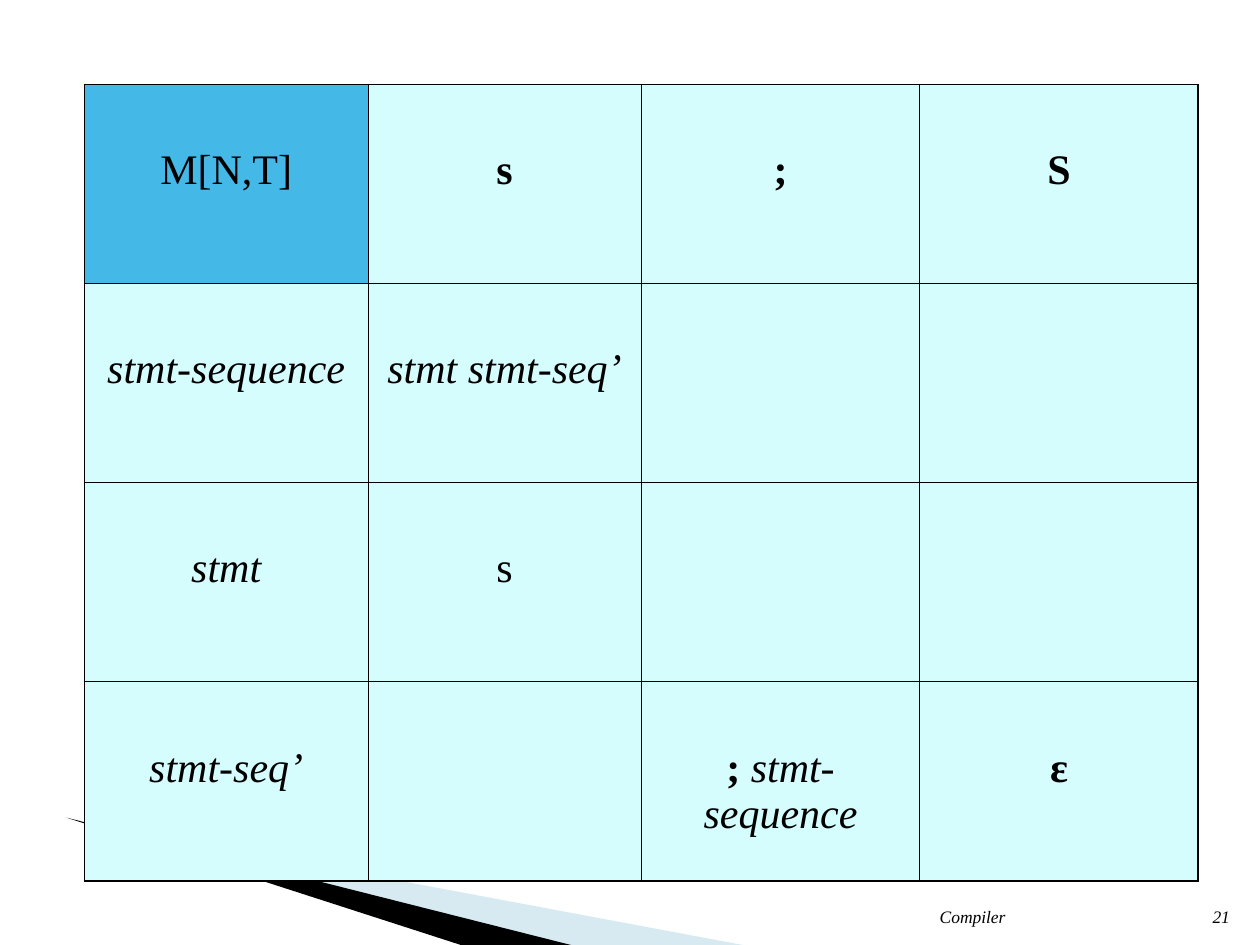
import dataclasses

import lxml.etree
import pptx
import pptx.dml.color
import pptx.enum.shapes
import pptx.enum.text
import pptx.oxml.ns
import pptx.util

Inches = pptx.util.Inches
Pt = pptx.util.Pt
ALIGN = pptx.enum.text.PP_ALIGN


@dataclasses.dataclass
class Theme:
    font: str = "Times New Roman"
    ink: str = "000000"
    wave: str = "9FCBDC"
    head: str = "44B9E8"
    cell: str = "D6FDFE"
    body: int = 24
    foot: int = 10
    thick: float = 1.08
    thin: float = 0.45


def rgb(code):
    return pptx.dml.color.RGBColor.from_string(code)


def sub(node, tag, **attrs):
    return lxml.etree.SubElement(node, pptx.oxml.ns.qn(tag), attrs)


def write(para, text, *, font, size, color, bold=False, italic=False):
    """Add one formatted run to a paragraph."""
    run = para.add_run()
    run.text = text
    run.font.name = font
    run.font.size = Pt(size)
    run.font.color.rgb = rgb(color)
    run.font.bold = bold
    run.font.italic = italic


class Deck:
    def __init__(self, theme):
        self.theme = theme
        self.file = pptx.Presentation()
        self.file.slide_width = Inches(10)
        self.file.slide_height = Inches(7.5)
        self.slide = self.file.slides.add_slide(self.file.slide_layouts[6])

    def text(self, para, text, size, **form):
        write(para, text, font=self.theme.font, size=size,
              color=self.theme.ink, **form)

    def wedge(self, points, color, alpha=None):
        start, *rest = [(Inches(x), Inches(y)) for x, y in points]
        build = self.slide.shapes.build_freeform(*start)
        build.add_line_segments(rest, close=True)
        shape = build.convert_to_shape()
        shape.shadow.inherit = False
        shape.line.fill.background()
        shape.fill.solid()
        shape.fill.fore_color.rgb = rgb(color)
        if alpha is not None:
            tint = shape.fill._xPr.find(".//" + pptx.oxml.ns.qn("a:srgbClr"))
            sub(tint, "a:alpha", val=str(alpha * 1000))

    def footer(self, text, left, width, align):
        box = self.slide.shapes.add_textbox(
            Inches(left), Inches(7.01), Inches(width), Inches(0.4))
        frame = box.text_frame
        frame.word_wrap = True
        frame.vertical_anchor = pptx.enum.text.MSO_ANCHOR.BOTTOM
        para = frame.paragraphs[0]
        para.alignment = align
        self.text(para, text, self.theme.foot, italic=True)

    def border(self, cell, side, width):
        line = sub(cell._tc.get_or_add_tcPr(), "a:ln" + side,
                   w=str(int(Pt(width))))
        sub(sub(line, "a:solidFill"), "a:srgbClr", val=self.theme.ink)

    def table(self, rows, left, top, widths, height):
        look = self.theme
        last_row, last_col = len(rows) - 1, len(widths) - 1
        frame = self.slide.shapes.add_table(
            len(rows), len(widths), Inches(left), Inches(top),
            Inches(sum(widths)), Inches(height * len(rows)))
        grid = frame.table
        for col, width in zip(grid.columns, widths):
            col.width = Inches(width)
        for r, row in enumerate(rows):
            grid.rows[r].height = Inches(height)
            for c, runs in enumerate(row):
                cell = grid.cell(r, c)
                # Heavy outline, fine inner rules
                edges = {"L": c == 0, "R": c == last_col,
                         "T": r == 0, "B": r == last_row}
                for side, outer in edges.items():
                    self.border(cell, side, look.thick if outer else look.thin)
                cell.fill.solid()
                cell.fill.fore_color.rgb = rgb(
                    look.head if r == c == 0 else look.cell)
                cell.margin_top = Inches(0.5)
                para = cell.text_frame.paragraphs[0]
                para.alignment = ALIGN.CENTER
                for text, form in runs:
                    self.text(para, text, look.body, **form)


def main():
    theme = Theme()
    deck = Deck(theme)

    # Waves in the lower left corner
    deck.wedge([(0.55, 6.5), (5.95, 7.51), (4.56, 7.51)], theme.wave, alpha=40)
    deck.wedge([(0.53, 6.49), (4.57, 7.51), (3.72, 7.52)], theme.ink)

    # Footer and page number
    deck.footer("Compiler", 7.36, 2.1, ALIGN.LEFT)
    deck.footer("21", 9.46, 0.4, ALIGN.RIGHT)

    # Parsing table: each cell is a list of runs
    plain, bold, slant = {}, {"bold": True}, {"italic": True}
    rows = [
        [[("M[N,T]", plain)], [("s", bold)], [(";", bold)], [("S", bold)]],
        [[("stmt-sequence", slant)], [("stmt stmt-seq’", slant)], [], []],
        [[("stmt", slant)], [("s", plain)], [], []],
        [[("stmt-seq’", slant)], [],
         [("; ", bold), ("stmt-sequence", slant)], [("ε", bold)]],
    ]
    deck.table(rows, 0.67, 0.67, [2.25, 2.17, 2.21, 2.21], 1.58)

    deck.file.save("out.pptx")


if __name__ == "__main__":
    main()
